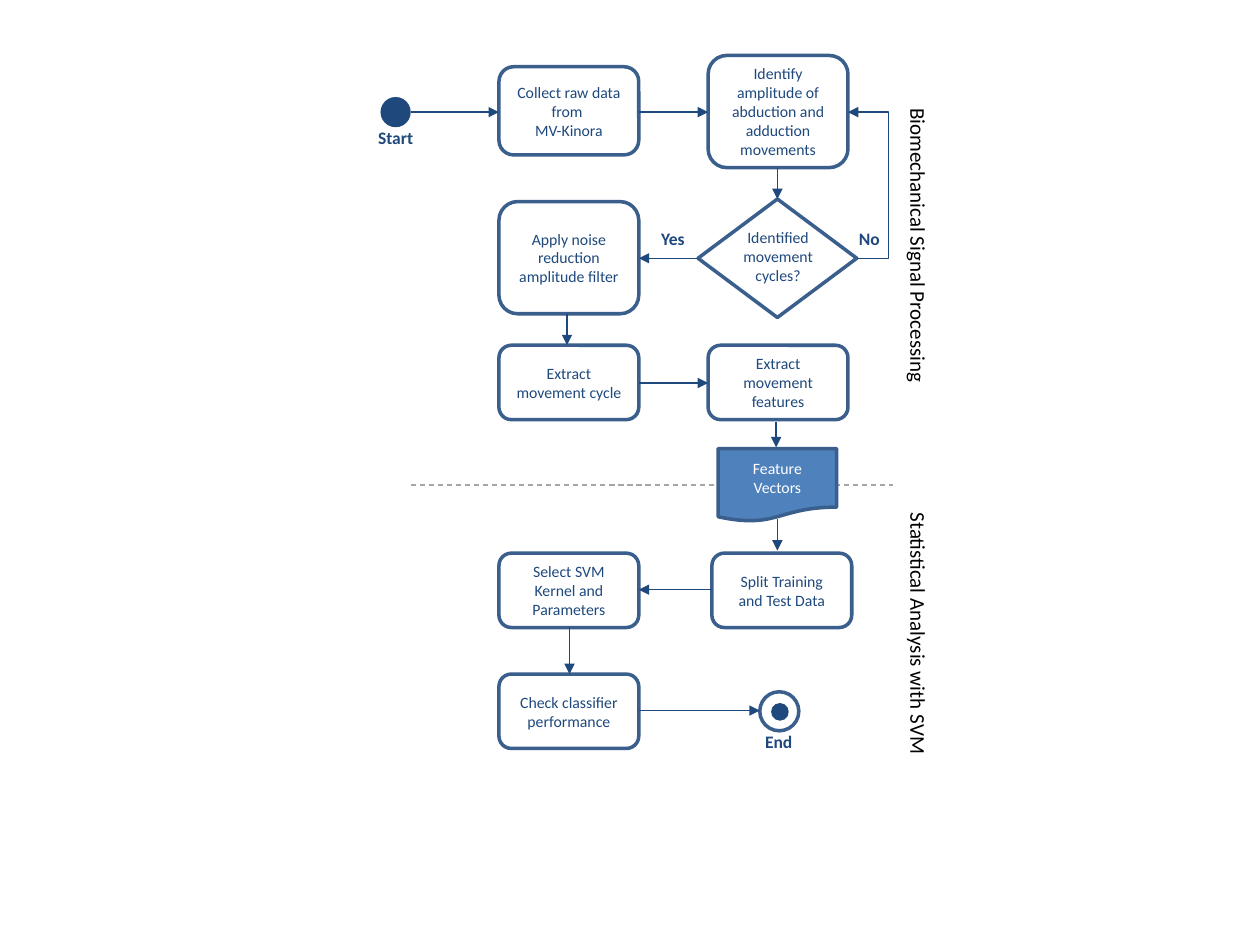
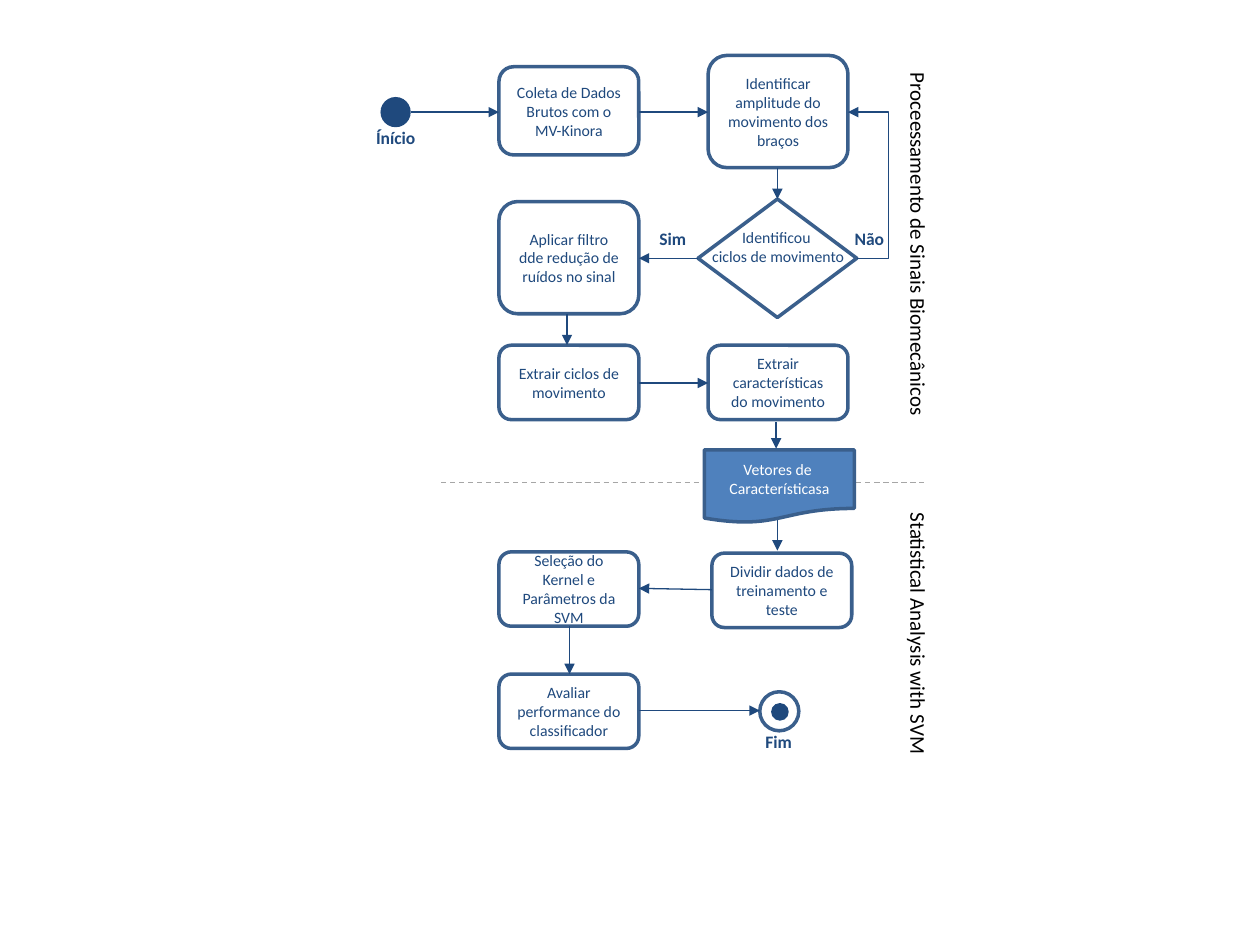
import lxml.etree
import pptx
import pptx.dml.color
import pptx.enum.dml
import pptx.enum.shapes
import pptx.enum.text
import pptx.oxml.ns
import pptx.util

Inches, Pt = pptx.util.Inches, pptx.util.Pt
RGB = pptx.dml.color.RGBColor.from_string
SHAPE = pptx.enum.shapes.MSO_SHAPE
LINE = pptx.enum.shapes.MSO_CONNECTOR
ANCHOR = pptx.enum.text.MSO_ANCHOR
ALIGN = pptx.enum.text.PP_ALIGN
qn = pptx.oxml.ns.qn

# Theme: colours, line widths and type styles
THEME = {
    "navy": "1F497D", "outline": "3A5F8C", "blue": "4F81BD",
    "white": "FFFFFF", "black": "000000", "grey": "A6A6A6",
    "box_line": 2, "arrow_line": 0.75,
    "step": {"name": "Calibri", "size": Pt(9), "bold": False},
    "label": {"name": "Calibri", "size": Pt(10), "bold": True},
    "phase": {"name": "Calibri", "size": Pt(12), "bold": False},
}

# Content: one flow chart per language; each text is a list of paragraphs
FLOWS = [
    {
        "steps": {
            "collect": ["Collect raw data from ", "MV-Kinora"],
            "identify": ["Identify amplitude of abduction and adduction", "movements"],
            "filter": ["Apply noise reduction amplitude filter"],
            "cycle": ["Extract movement cycle"],
            "features": ["Extract movement features"],
            "vectors": ["Feature", "Vectors"],
            "split": ["Split Training and Test Data"],
            "select": ["Select SVM Kernel and Parameters"],
            "check": ["Check classifier performance"],
        },
        "question": ["Identified", "movement", "cycles?"],
        "labels": {"start": "Start", "yes": "Yes", "no": "No", "end": "End"},
        "phases": [("Biomechanical Signal Processing", 1.96, 2.4),
                   ("Statistical Analysis with SVM", 5.04, 2.14)],
        "divider": (3.26, 7.09, 3.85),
        "moved": {},
    },
    {
        "steps": {
            "collect": ["Coleta de Dados Brutos com o MV-Kinora"],
            "identify": ["Identificar amplitude do movimento dos braços"],
            "filter": ["Aplicar filtro dde redução de ruídos no sinal"],
            "cycle": ["Extrair ciclos de movimento"],
            "features": ["Extrair características do movimento"],
            "vectors": ["Vetores de ", "Característicasa"],
            "split": ["Dividir dados de treinamento e teste"],
            "select": ["Seleção do Kernel e Parâmetros da SVM"],
            "check": ["Avaliar performance do classificador"],
        },
        "question": ["Identificou ", "ciclos de movimento"],
        "labels": {"start": "Ínício", "yes": "Sim", "no": "Não", "end": "Fim"},
        "phases": [("Proceessamento de Sinais Biomecânicos", 1.96, 2.96),
                   ("Statistical Analysis with SVM", 5.04, 2.14)],
        "divider": (3.5, 7.33, 3.83),
        "moved": {"vectors": (5.59, 3.57, 1.19, 0.58),
                  "select": (3.96, 4.38, 1.11, 0.59)},
    },
]

# Layout: two columns of steps, in inches
LEFT, RIGHT, STEP_W = 3.96, 5.62, 1.11
LOW, TALL = 0.59, 0.89
RIGHT_MID = 6.17
PLACES = {
    "start": (3.02, 0.77, 0.24, 0.24),
    "collect": (LEFT, 0.53, STEP_W, 0.7),
    "identify": (RIGHT, 0.44, STEP_W, TALL),
    "decision": (5.54, 1.58, 1.26, 0.94),
    "filter": (LEFT, 1.6, STEP_W, TALL),
    "cycle": (LEFT, 2.74, STEP_W, LOW),
    "features": (RIGHT, 2.74, STEP_W, LOW),
    "vectors": (5.7, 3.56, 0.94, 0.58),
    "split": (5.65, 4.39, STEP_W, LOW),
    "select": (LEFT, 4.39, STEP_W, LOW),
    "check": (LEFT, 5.35, STEP_W, LOW),
    "end": (6.03, 5.49, 0.31, 0.31),
    "end_dot": (6.12, 5.58, 0.14, 0.14),
}
# Kind, fill and outline of the nodes that are not plain steps
SPECIAL = {
    "start": (SHAPE.OVAL, "navy", None),
    "decision": (SHAPE.DIAMOND, "white", "outline"),
    "vectors": (SHAPE.FLOWCHART_DOCUMENT, "blue", "outline"),
    "end": (SHAPE.FLOWCHART_CONNECTOR, "white", "outline"),
    "end_dot": (SHAPE.OVAL, "navy", None),
}
# From, to, y
TOP_Y, TEST_Y = 0.89, 2.05
ACROSS = [("start", "collect", TOP_Y), ("collect", "identify", TOP_Y),
          ("decision", "filter", TEST_Y), ("cycle", "features", 3.04),
          ("split", "select", 4.68), ("check", "end", 5.64)]
# From, to, x, shift of each end
DOWN = [("identify", "decision", RIGHT_MID, 0, 0), ("filter", "cycle", 4.5, 0, 0),
        ("features", "vectors", 6.16, 0.02, -0.01),
        ("vectors", "split", RIGHT_MID, -0.02, -0.02), ("select", "check", 4.52, 0, 0)]
# Centre x and top
LABELS = {"start": (3.14, 0.96), "yes": (5.34, 1.76), "no": (6.9, 1.76), "end": (6.18, 5.75)}
LABEL_W, LABEL_H = 0.6, 0.27
PHASE_X, PHASE_H = 7.29, 0.3
LOOP_X = 7.05


def write(tf, paragraphs, style, color, align=ALIGN.CENTER):
    for i, text in enumerate(paragraphs):
        p = tf.paragraphs[0] if i == 0 else tf.add_paragraph()
        p.alignment = align
        r = p.add_run()
        r.text = text
        for key, value in THEME[style].items():
            setattr(r.font, key, value)
        r.font.color.rgb = RGB(THEME[color])


def add_node(s, name, place, text):
    kind, fill, outline = SPECIAL.get(name, (SHAPE.ROUNDED_RECTANGLE, "white", "outline"))
    sp = s.shapes.add_shape(kind, *map(Inches, place))
    sp.shadow.inherit = False
    sp.fill.solid()
    sp.fill.fore_color.rgb = RGB(THEME[fill])
    if outline:
        sp.line.color.rgb = RGB(THEME[outline])
        sp.line.width = Pt(THEME["box_line"])
    else:
        sp.line.fill.background()
    tf = sp.text_frame
    tf.word_wrap, tf.vertical_anchor = True, ANCHOR.MIDDLE
    write(tf, text, "step", "white" if fill == "blue" else "navy")


def add_text(s, paragraphs, place, style, color, align=ALIGN.CENTER, rotation=0):
    sp = s.shapes.add_textbox(*map(Inches, place))
    sp.rotation = rotation
    tf = sp.text_frame
    tf.word_wrap = False
    tf.auto_size = pptx.enum.text.MSO_AUTO_SIZE.SHAPE_TO_FIT_TEXT
    write(tf, paragraphs, style, color, align)


def add_line(s, start, stop, color="navy", arrow="tailEnd", kind=LINE.STRAIGHT):
    c = s.shapes.add_connector(kind, *map(Inches, start + stop))
    c.line.color.rgb = RGB(THEME[color])
    c.line.width = Pt(THEME["arrow_line"])
    if arrow:
        lxml.etree.SubElement(c.line._get_or_add_ln(), qn("a:" + arrow), type="triangle")
    lxml.etree.SubElement(c._element.spPr, qn("a:effectLst"))
    return c


def add_arrows(s, places):
    for a, b, y in ACROSS:
        (ax, _, aw, _), (bx, by, bw, _) = places[a], places[b]
        x1, x2 = (ax + aw, bx) if ax < bx else (ax, bx + bw)
        add_line(s, (x1, y), (x2, y + by - PLACES[b][1]))
    for a, b, x, shift_a, shift_b in DOWN:
        bottom = places[a][1] + places[a][3]
        add_line(s, (x, bottom + shift_a), (x, places[b][1] + shift_b))

    # Loop back from the decision to the identify step
    x1, x2 = (places[name][0] + places[name][2] for name in ("identify", "decision"))
    loop = add_line(s, (x1, TOP_Y), (x2, TEST_Y), arrow="headEnd", kind=LINE.ELBOW)
    guides = loop._element.spPr.find(qn("a:prstGeom")).get_or_add_avLst()
    bend = round((LOOP_X - x1) / (x2 - x1) * 100000)
    lxml.etree.SubElement(guides, qn("a:gd"), name="adj1", fmla=f"val {bend}")


def build_flow(prs, flow):
    s = prs.slides.add_slide(prs.slide_layouts[6])
    places = {**PLACES, **flow["moved"]}

    # Divider between the phases
    x1, x2, y = flow["divider"]
    divider = add_line(s, (x1, y), (x2, y), "grey", arrow=None)
    divider.line.dash_style = pptx.enum.dml.MSO_LINE.DASH

    # Nodes and arrows
    for name, place in places.items():
        add_node(s, name, place, flow["steps"].get(name, []))
    add_arrows(s, places)

    # Question, labels and phase names
    add_text(s, flow["question"], (RIGHT_MID - 0.63, 1.76, 1.27, 0.4), "step", "navy")
    for name, text in flow["labels"].items():
        x, top = LABELS[name]
        add_text(s, [text], (x - LABEL_W / 2, top, LABEL_W, LABEL_H), "label", "navy")
    for text, mid, width in flow["phases"]:
        place = (PHASE_X - width / 2, mid - PHASE_H / 2, width, PHASE_H)
        add_text(s, [text], place, "phase", "black", ALIGN.LEFT, 90)


def main():
    prs = pptx.Presentation()
    prs.slide_width, prs.slide_height = Inches(10), Inches(7.5)
    for flow in FLOWS:
        build_flow(prs, flow)
    prs.save("out.pptx")


if __name__ == "__main__":
    main()
